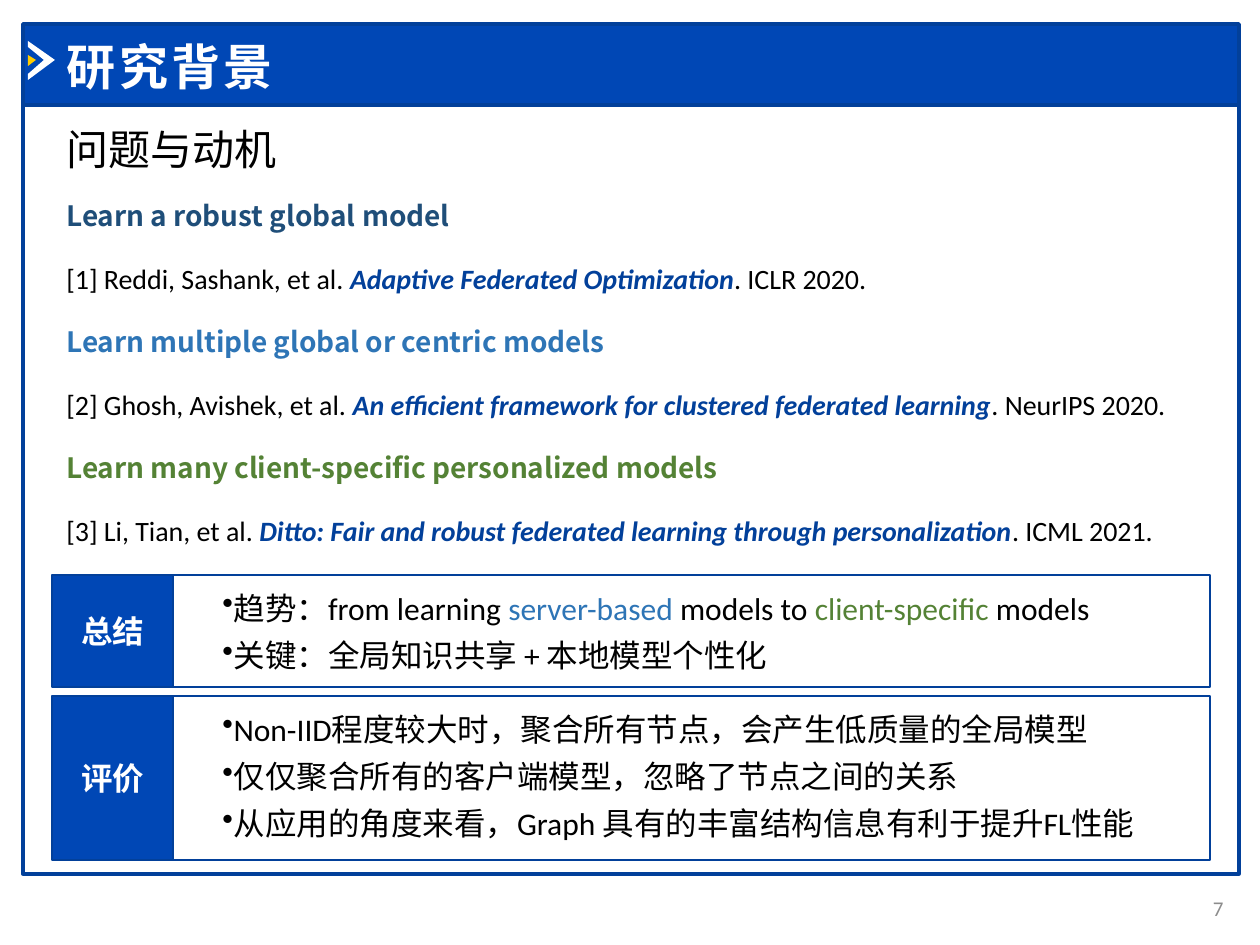
from dataclasses import dataclass

from lxml.etree import SubElement
from pptx import Presentation
from pptx.dml.color import RGBColor
from pptx.enum.shapes import MSO_SHAPE as SHAPE
from pptx.enum.text import MSO_ANCHOR as ANCHOR, PP_ALIGN as ALIGN
from pptx.oxml.ns import qn
from pptx.util import Emu, Pt

PX = 914400 / 126


def px(n):
    return Emu(round(n * PX))


@dataclass(frozen=True)
class Theme:
    latin: str = "Calibri"
    cjk: str = "Noto Sans CJK SC"
    fill: str = "0047B5"
    line: str = "02409A"
    white: str = "FFFFFF"
    black: str = "000000"
    accent: str = "FFCC00"
    grey: str = "8C8C8C"
    navy: str = "1F4E79"
    blue: str = "2E75B6"
    green: str = "548235"
    title: int = 28
    subtitle: int = 24
    body: int = 18
    paper: int = 16
    number: int = 12


T = Theme()


@dataclass
class Run:
    text: str
    color: str = T.black
    bold: bool = False
    italic: bool = False
    font: str = T.latin


class Deck:
    def __init__(self, theme):
        self.theme = theme
        self.prs = Presentation()
        self.prs.slide_width, self.prs.slide_height = px(1260), px(945)
        self.s = self.prs.slides.add_slide(self.prs.slide_layouts[5])

    def group(self):
        return self.s.shapes.add_group_shape().shapes

    def add_runs(self, p, runs, size):
        for run in runs:
            r = p.add_run()
            r.text = run.text
            font = r.font
            font.size, font.name = Pt(size), run.font
            font.bold, font.italic = run.bold, run.italic
            font.color.rgb = RGBColor.from_string(run.color)
            SubElement(r._r.get_or_add_rPr(), qn("a:ea"), typeface=self.theme.cjk)

    def rect(self, shapes, box, weight, fill=None):
        sp = shapes.add_shape(SHAPE.RECTANGLE, *map(px, box))
        sp.shadow.inherit = False
        if fill:
            sp.fill.solid()
            sp.fill.fore_color.rgb = RGBColor.from_string(fill)
        else:
            sp.fill.background()
        sp.line.color.rgb = RGBColor.from_string(self.theme.line)
        sp.line.width = Pt(weight)
        return sp

    def outline(self, shapes, points, fill):
        builder = shapes.build_freeform(*points[0], scale=PX)
        builder.add_line_segments(points[1:], close=True)
        sp = builder.convert_to_shape()
        sp.shadow.inherit = False
        sp.fill.solid()
        sp.fill.fore_color.rgb = RGBColor.from_string(fill)
        sp.line.fill.background()

    def title(self, text, box):
        """Fill the title placeholder and bring it in front of the header bar."""
        sp = self.s.shapes.title
        sp.left, sp.top, sp.width, sp.height = map(px, box)
        sp.text_frame.vertical_anchor = ANCHOR.MIDDLE
        p = sp.text_frame.paragraphs[0]
        p.alignment = ALIGN.LEFT
        self.add_runs(p, [Run(text, self.theme.white, bold=True)], self.theme.title)
        p.runs[0]._r.get_or_add_rPr().set("spc", "200")
        tree = sp.element.getparent()
        tree.append(sp.element)

    def text(self, shapes, box, lines, size, spacing=1.0, gap=0,
             bullets=False, align=ALIGN.LEFT, anchor=ANCHOR.TOP):
        tf = shapes.add_textbox(*map(px, box)).text_frame
        tf.word_wrap, tf.vertical_anchor = True, anchor
        for i, runs in enumerate(lines):
            p = tf.add_paragraph() if i else tf.paragraphs[0]
            p.alignment, p.line_spacing = align, spacing
            p.space_before, p.space_after = Pt(gap if i else 0), Pt(gap)
            if bullets:
                pPr = p._p.get_or_add_pPr()
                pPr.set("marL", "0")
                pPr.set("indent", str(px(25)))
                SubElement(pPr, qn("a:buChar"), char="•")
            self.add_runs(p, runs, size)

    def panel(self, label, top, height, lines):
        """A labelled block with a bordered list to its right."""
        t, shapes = self.theme, self.group()
        tab = self.rect(shapes, (52, top, 121, height), 1.5, t.fill)
        tab.text_frame.vertical_anchor = ANCHOR.MIDDLE
        p = tab.text_frame.paragraphs[0]
        p.alignment = ALIGN.CENTER
        self.add_runs(p, [Run(label, t.white, bold=True)], t.body)
        self.rect(shapes, (173, top, 1037, height), 1.5)
        self.text(shapes, (185, top - 2, 1037, height + 2), lines, t.body,
                  spacing=1.25, bullets=True)


PAPERS = [
    ("Learn a robust global model", T.navy, "[1] Reddi, Sashank, et al. ",
     "Adaptive Federated Optimization", ". ICLR 2020."),
    ("Learn multiple global or centric models", T.blue, "[2] Ghosh, Avishek, et al. ",
     "An efficient framework for clustered federated learning", ". NeurIPS 2020."),
    ("Learn many client-specific personalized models", T.green, "[3] Li, Tian, et al. ",
     "Ditto: Fair and robust federated learning through personalization", ". ICML 2021."),
]
SUMMARY = [
    [Run("趋势：from learning "), Run("server-based", T.blue), Run(" models to "),
     Run("client-speciﬁc", T.green), Run(" models")],
    [Run("关键：全局知识共享 + 本地模型个性化")],
]
REMARKS = [
    [Run("Non-IID程度较大时，聚合所有节点，会产生低质量的全局模型")],
    [Run("仅仅聚合所有的客户端模型，忽略了节点之间的关系")],
    [Run("从应用的角度来看，Graph 具有的丰富结构信息有利于提升FL性能")],
]


def main():
    deck = Deck(T)
    frame = deck.group()
    deck.rect(frame, (23, 105, 1216, 769), 2)
    deck.rect(frame, (23, 24, 1216, 81), 2, T.fill)
    deck.outline(frame, [(28, 41), (55, 60), (28, 80), (28, 74), (44, 60), (28, 47)], T.white)
    deck.outline(frame, [(28, 55), (36, 60), (28, 66)], T.accent)
    deck.title("研究背景", (54, 30, 1043, 72))

    shapes = deck.s.shapes
    deck.text(shapes, (1162, 883, 74, 50), [[Run("7", T.grey)]], T.number,
              align=ALIGN.RIGHT, anchor=ANCHOR.MIDDLE)
    deck.text(shapes, (54, 123, 1178, 63), [[Run("问题与动机")]], T.subtitle, spacing=0.9)

    lines = []
    for heading, color, authors, paper, venue in PAPERS:
        lines.append([Run(heading, color, bold=True, font=T.cjk)])
        lines.append([Run(authors), Run(paper, T.line, bold=True, italic=True), Run(venue)])
    deck.text(shapes, (54, 184, 1125, 368), lines, T.paper, spacing=1.25, gap=6)

    deck.panel("评价", 696, 164, REMARKS)
    deck.panel("总结", 575, 112, SUMMARY)
    deck.prs.save("out.pptx")


if __name__ == "__main__":
    main()
